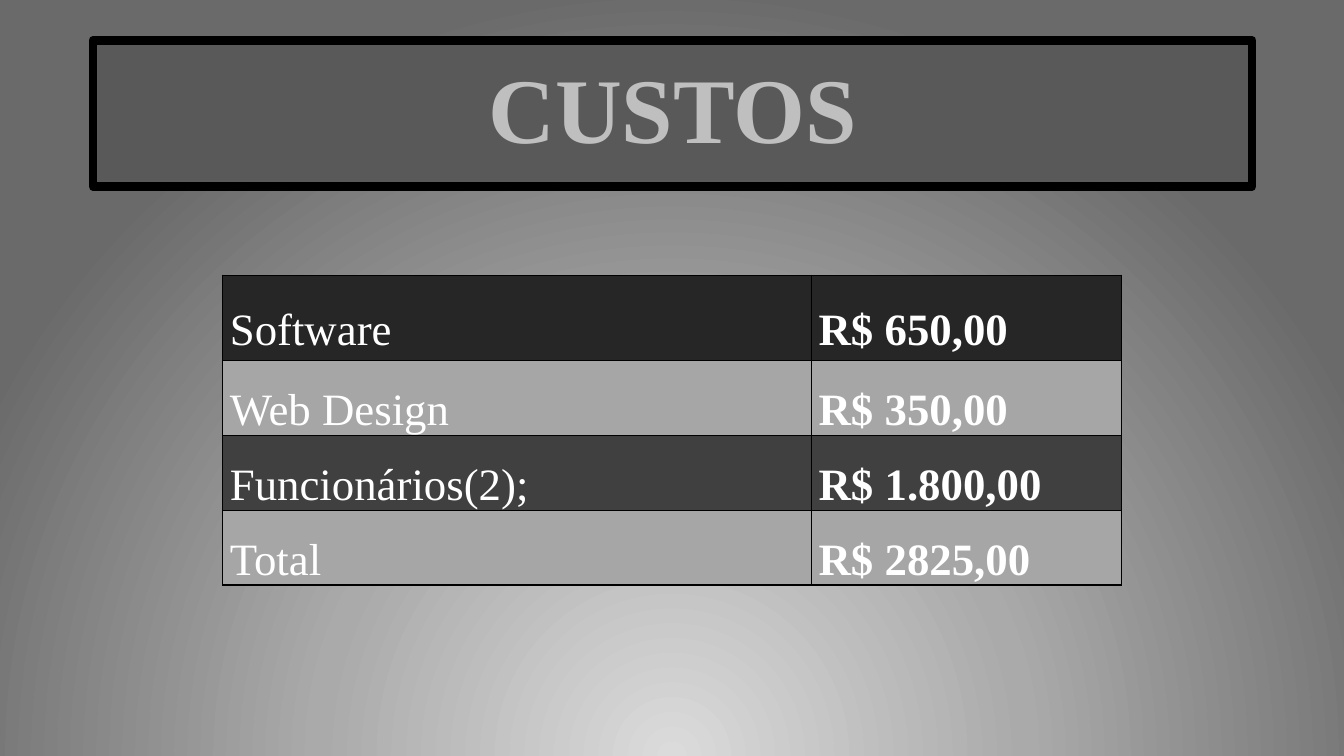
from pptx import Presentation
from pptx.dml.color import RGBColor
from pptx.enum.text import MSO_ANCHOR, PP_ALIGN
from pptx.oxml import parse_xml
from pptx.oxml.ns import nsdecls
from pptx.util import Inches, Pt

MIDDLE = MSO_ANCHOR.MIDDLE
CENTER, JUSTIFY = PP_ALIGN.CENTER, PP_ALIGN.JUSTIFY
TITLE_ONLY = 5


def paint(fill, color):
    fill.solid()
    fill.fore_color.rgb = RGBColor.from_string(color)


def write(frame, text, align, spacing, color, **font_format):
    frame.text = text
    paragraph = frame.paragraphs[0]
    paragraph.alignment = align
    paragraph.line_spacing = spacing
    font = paragraph.runs[0].font
    paint(font.fill, color)
    for attribute, value in font_format.items():
        setattr(font, attribute, value)
    return paragraph.runs[0]


deck = Presentation()
deck.slide_width, deck.slide_height = Inches(13.33), Inches(7.5)
slide = deck.slides.add_slide(deck.slide_layouts[TITLE_ONLY])

glow = [(0, "DBDBDB"), (46, "AAAAAA"), (100, "6A6A6A")]
stops = "".join(
    f'<a:gs pos="{share * 1000}"><a:srgbClr val="{color}"/></a:gs>' for share, color in glow
)
slide.element.cSld.insert(0, parse_xml(
    f'<p:bg {nsdecls("p", "a")}><p:bgPr><a:gradFill rotWithShape="1"><a:gsLst>{stops}</a:gsLst>'
    '<a:path path="circle"><a:fillToRect l="50000" t="130000" r="50000" b="-30000"/></a:path>'
    '</a:gradFill><a:effectLst/></p:bgPr></p:bg>'
))

heading = slide.shapes.title
heading_box = {"left": 0.92, "top": 0.4, "width": 11.5, "height": 1.45}
for side, length in heading_box.items():
    setattr(heading, side, Inches(length))
paint(heading.fill, "595959")
paint(heading.line.fill, "000000")
heading.line.width = Pt(6)
heading.text_frame.vertical_anchor = MIDDLE
heading_run = write(heading.text_frame, "CUSTOS", CENTER, 0.9, "BFBFBF",
                    name="Times New Roman", size=Pt(66), bold=True)
heading_run.font.fill._xPr.insert(0, parse_xml(
    f'<a:ln {nsdecls("a")} w="9525"><a:solidFill><a:srgbClr val="3B3838"/></a:solidFill></a:ln>'
))

costs = [
    ("Software", "R$ 650,00", "262626", 0.85),
    ("Web Design", "R$ 350,00", "A6A6A6", 0.59),
    ("Funcionários(2);", "R$ 1.800,00", "404040", 0.59),
    ("Total", "R$ 2825,00", "A6A6A6", 0.59),
]
column_widths = [5.84, 3.07]
cell_format = {
    "margin_left": Inches(0.07), "margin_right": Inches(0.07),
    "margin_top": 0, "margin_bottom": 0, "vertical_anchor": MIDDLE,
}
cost_table = slide.shapes.add_table(
    len(costs), len(column_widths), Inches(2.21), Inches(2.73),
    Inches(sum(column_widths)), Inches(sum(cost[-1] for cost in costs)),
).table
for column, width in zip(cost_table.columns, column_widths):
    column.width = Inches(width)

for row, (item, price, shade, height) in enumerate(costs):
    cost_table.rows[row].height = Inches(height)
    for column, text in enumerate((item, price)):
        cell = cost_table.cell(row, column)
        for attribute, value in cell_format.items():
            setattr(cell, attribute, value)
        write(cell.text_frame, text, JUSTIFY, 1.5, "FFFFFF",
              name="Times New Roman", size=Pt(32), bold=column == 1)
        paint(cell.fill, shade)
        for position, edge in enumerate(("lnL", "lnR", "lnT", "lnB")):
            cell.fill._xPr.insert(position, parse_xml(
                f'<a:{edge} {nsdecls("a")} w="12700"><a:solidFill>'
                f'<a:srgbClr val="000000"/></a:solidFill></a:{edge}>'
            ))

deck.save("out.pptx")
